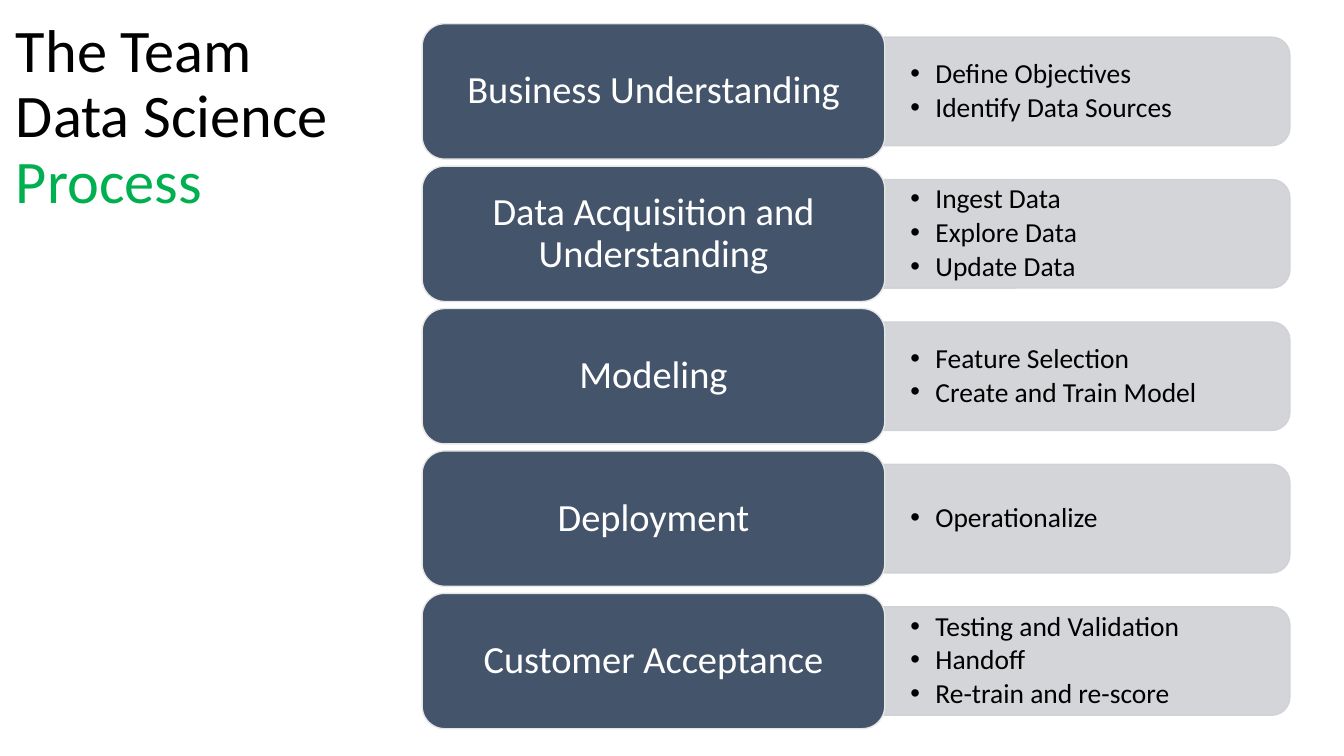
from lxml import etree
from pptx import Presentation
from pptx.dml.color import RGBColor
from pptx.enum.shapes import MSO_SHAPE
from pptx.enum.text import MSO_ANCHOR, PP_ALIGN
from pptx.oxml.ns import qn
from pptx.util import Cm, Pt

ROUNDED = MSO_SHAPE.ROUNDED_RECTANGLE
ROUNDED_TOP = MSO_SHAPE.ROUND_2_SAME_RECTANGLE
TOP, MIDDLE = MSO_ANCHOR.TOP, MSO_ANCHOR.MIDDLE
LEFT, CENTER = PP_ALIGN.LEFT, PP_ALIGN.CENTER

FONT = "Calibri"
BLACK, WHITE, GREEN = "000000", "FFFFFF", "00B050"
NAVY, PALE, GREY = "44546A", "E7E6E6", "CFD1D4"

STAGE_LEFT, STAGE_TOP, STAGE_WIDTH, STAGE_HEIGHT = 10.85, 0.61, 11.89, 3.48
STAGE_PITCH = 3.66
PANEL_LEFT, PANEL_WIDTH, PANEL_HEIGHT = 22.71, 10.44, 2.79
TASKS_WIDTH, TASKS_HEIGHT = 10.29, 2.51

STAGES = [
    ("Business Understanding", ["Define Objectives", "Identify Data Sources"]),
    ("Data Acquisition and Understanding",
     ["Ingest Data", "Explore Data", "Update Data"]),
    ("Modeling", ["Feature Selection", "Create and Train Model"]),
    ("Deployment", ["Operationalize"]),
    ("Customer Acceptance",
     ["Testing and Validation", "Handoff", "Re-train and re-score"]),
]


def rgb(color):
    return RGBColor.from_string(color)


def set_frame(frame, anchor, side_inset, end_inset):
    frame.word_wrap = True
    frame.vertical_anchor = anchor
    frame.margin_left = frame.margin_right = Cm(side_inset)
    frame.margin_top = frame.margin_bottom = Cm(end_inset)


def format_paragraph(paragraph, size, color, align):
    paragraph.alignment = align
    paragraph.line_spacing = 0.9
    for run in paragraph.runs:
        run.font.name = FONT
        run.font.size = Pt(size)
        run.font.color.rgb = rgb(color)


def add_bullet(paragraph):
    properties = paragraph._p.get_or_add_pPr()
    properties.set("marL", str(Cm(0.64)))
    properties.set("indent", str(-Cm(0.64)))
    etree.SubElement(properties, qn("a:buFont"), typeface="Arial")
    etree.SubElement(properties, qn("a:buChar"), char="•")


def add_block(slide, preset, left, top, width, height, fill, line):
    block = slide.shapes.add_shape(
        preset, Cm(left), Cm(top), Cm(width), Cm(height))
    block.shadow.inherit = False
    block.fill.solid()
    block.fill.fore_color.rgb = rgb(fill)
    block.line.color.rgb = rgb(line)
    block.line.width = Pt(1)
    return block


def add_title(slide):
    title = slide.shapes.add_textbox(Cm(0), Cm(0.28), Cm(9.8), Cm(5.74))
    set_frame(title.text_frame, TOP, 0.41, 0.25)
    paragraph = title.text_frame.paragraphs[0]
    paragraph.text = "The Team Data Science "
    process = paragraph.add_run()
    process.text = "Process"
    format_paragraph(paragraph, 44, BLACK, LEFT)
    process.font.color.rgb = rgb(GREEN)


def add_panel(slide, middle):
    center = PANEL_LEFT + PANEL_WIDTH / 2
    panel = add_block(slide, ROUNDED_TOP, center - PANEL_HEIGHT / 2,
                      middle - PANEL_WIDTH / 2, PANEL_HEIGHT, PANEL_WIDTH,
                      GREY, GREY)
    panel.rotation = 90
    for color in panel._element.spPr.iter(qn("a:srgbClr")):
        etree.SubElement(color, qn("a:alpha"), val="90000")


def add_tasks(slide, middle, tasks):
    box = slide.shapes.add_textbox(
        Cm(PANEL_LEFT), Cm(middle - TASKS_HEIGHT / 2),
        Cm(TASKS_WIDTH), Cm(TASKS_HEIGHT))
    set_frame(box.text_frame, MIDDLE, 0.69, 0.36)
    box.text_frame.text = "\n".join(tasks)
    for paragraph in box.text_frame.paragraphs:
        add_bullet(paragraph)
        format_paragraph(paragraph, 20, BLACK, LEFT)
        paragraph.space_after = Pt(3)


def add_stage(slide, top, name):
    stage = add_block(slide, ROUNDED, STAGE_LEFT, top,
                      STAGE_WIDTH, STAGE_HEIGHT, NAVY, PALE)
    set_frame(stage.text_frame, MIDDLE, 0.3, 0.15)
    stage.text_frame.text = name
    format_paragraph(stage.text_frame.paragraphs[0], 28, WHITE, CENTER)


def main():
    deck = Presentation()
    deck.slide_width, deck.slide_height = Cm(34.54), Cm(19.43)
    slide = deck.slides.add_slide(deck.slide_layouts[6])
    add_title(slide)
    for index, (name, tasks) in enumerate(STAGES):
        top = STAGE_TOP + index * STAGE_PITCH
        middle = top + STAGE_HEIGHT / 2
        add_panel(slide, middle)
        add_tasks(slide, middle, tasks)
        add_stage(slide, top, name)
    deck.save("out.pptx")


if __name__ == "__main__":
    main()
